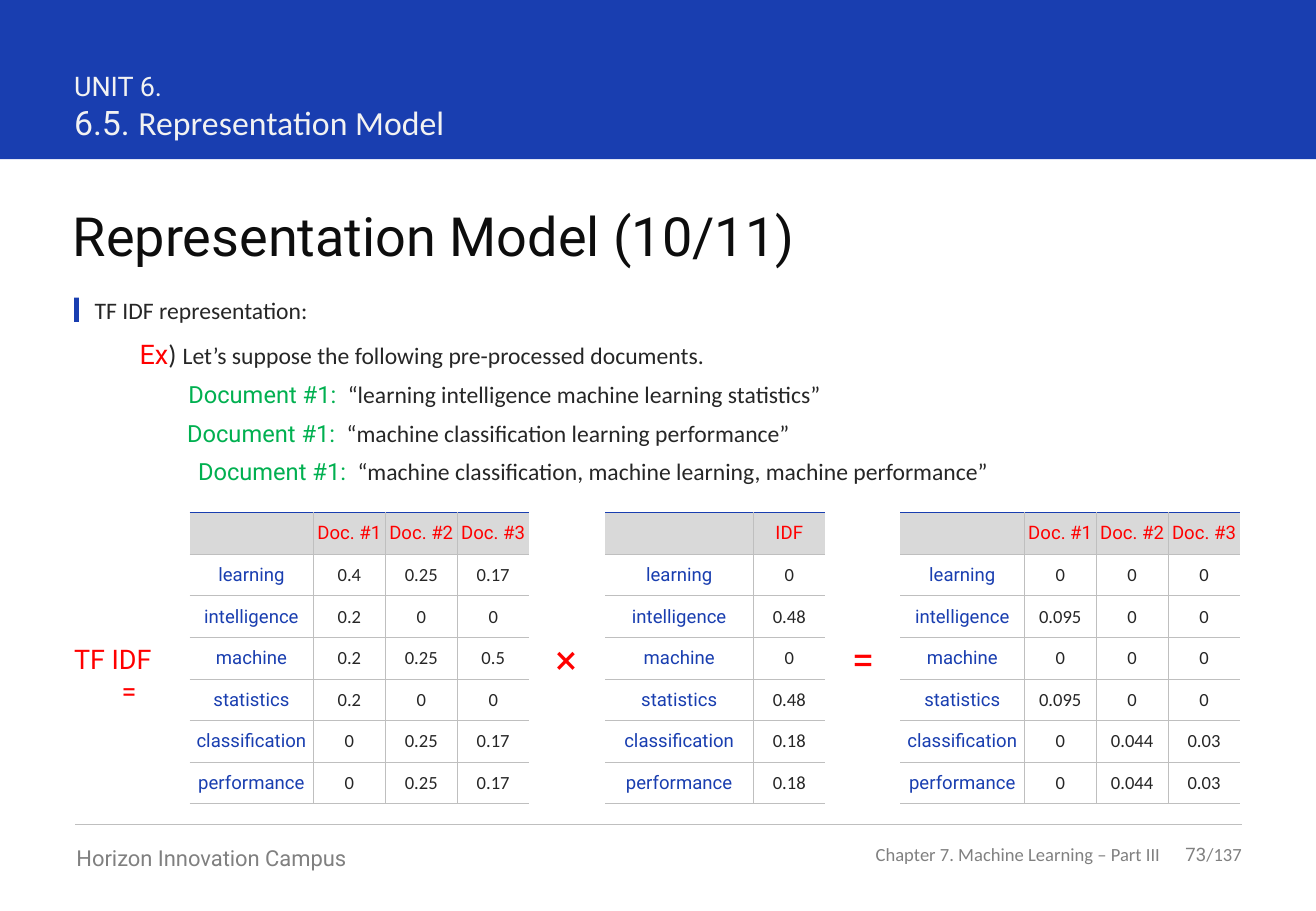
import pptx
import pptx.dml.color
import pptx.enum.shapes
import pptx.enum.text
import pptx.oxml
import pptx.oxml.ns
import pptx.util
from lxml import etree

CELL = pptx.util.Inches(0.1)
WIDE, HIGH = 108.3, 75
LEFT, RIGHT = 6.1, 102.2
HEX = {
    "blue": "193EB0", "red": "FF0000", "green": "00B050", "ink": "262626",
    "black": "0D0D0D", "pale": "F2F2F2", "gray": "808080", "rule": "BFBFBF",
    "head": "D9D9D9",
}
ALIGN = pptx.enum.text.PP_ALIGN
ANCHOR = pptx.enum.text.MSO_ANCHOR
SANS, BODY = "Roboto", "Calibri"
TERMS = ["learning", "intelligence", "machine", "statistics",
         "classification", "performance"]
DOCS = ["Doc. #1", "Doc. #2", "Doc. #3"]
TABLES = [
    (15.6, 10.2, DOCS, [
        ["0.4", "0.25", "0.17"], ["0.2", "0", "0"], ["0.2", "0.25", "0.5"],
        ["0.2", "0", "0"], ["0", "0.25", "0.17"], ["0", "0.25", "0.17"]]),
    (49.8, 12.2, ["IDF"],
     [["0"], ["0.48"], ["0"], ["0.48"], ["0.18"], ["0.18"]]),
    (74.1, 10.2, DOCS, [
        ["0", "0", "0"], ["0.095", "0", "0"], ["0", "0", "0"],
        ["0.095", "0", "0"], ["0", "0.044", "0.03"], ["0", "0.044", "0.03"]]),
]
QUOTES = [
    (4, "“learning intelligence machine learning statistics”"),
    (3.9, "“machine classification learning performance”"),
    (4.8, "“machine classification, machine learning, machine performance”"),
]


def grid(*spots):
    """Turn grid counts into lengths."""
    return [round(spot * CELL) for spot in spots]


def tint(name):
    """Look up a colour by name."""
    return pptx.dml.color.RGBColor.from_string(HEX[name])


def assign(item, values):
    """Set each named value on an item."""
    for key, value in values.items():
        setattr(item, key, value)


def write(para, runs, margin=0, hang=0, **form):
    """Fill a paragraph with (text, size, font, colour, spacing) runs."""
    props = para._p.get_or_add_pPr()
    for key, spot in (("marL", margin), ("indent", -hang)):
        props.set(key, str(grid(spot)[0]))
    assign(para, form)
    for words, size, face, shade, *extra in runs:
        run = para.add_run()
        run.text = words
        assign(run.font, {"size": pptx.util.Pt(size), "name": face})
        run.font.color.rgb = tint(shade)
        for gap in extra:
            run._r.get_or_add_rPr().set("spc", str(gap))


def label(slide, place, *paras, anchor=ANCHOR.TOP):
    """Add a text box of paragraphs, each a dict of write options."""
    frame = slide.shapes.add_textbox(*grid(*place)).text_frame
    assign(frame, {"word_wrap": True, "vertical_anchor": anchor,
                   "margin_left": 0, "margin_right": 0,
                   "margin_top": 0, "margin_bottom": 0})
    for index, para in enumerate(paras):
        write(frame.add_paragraph() if index else frame.paragraphs[0], **para)


def block(slide, *place):
    """Add a plain blue bar."""
    shape = slide.shapes.add_shape(
        pptx.enum.shapes.MSO_SHAPE.RECTANGLE, *grid(*place))
    shape.shadow.inherit = False
    shape.fill.solid()
    shape.fill.fore_color.rgb = tint("blue")
    shape.line.fill.background()


def rule(slide, *ends):
    """Add a thin gray line."""
    line = slide.shapes.add_connector(
        pptx.enum.shapes.MSO_CONNECTOR.STRAIGHT, *grid(*ends))
    line.line.color.rgb = tint("rule")
    line.line.width = pptx.util.Pt(0.5)
    etree.SubElement(line._element.spPr, pptx.oxml.ns.qn("a:effectLst"))


def edges(cell, sides):
    """Draw cell borders from (colour, points) by side, or none."""
    props = cell._tc.get_or_add_tcPr()
    for index, side in enumerate("LRTB"):
        shade, points = sides.get(side, (None, 0))
        fill = (f'<a:solidFill><a:srgbClr val="{HEX[shade]}"/></a:solidFill>'
                if shade else "<a:noFill/>")
        props.insert(index, pptx.oxml.parse_xml(
            f'<a:ln{side} {pptx.oxml.ns.nsdecls("a")} '
            f'w="{pptx.util.Pt(points)}">{fill}</a:ln{side}>'))


def matrix(slide, left, first, heads, values):
    """Add a table of terms and their weights."""
    rows = [["", *heads]] + [[term, *row] for term, row in zip(TERMS, values)]
    widths = [first] + [5.92] * len(heads)
    table = slide.shapes.add_table(
        len(rows), len(widths), *grid(left, 42.2, sum(widths), 24)).table
    assign(table, {"first_row": False, "horz_banding": False})
    for column, width in zip(table.columns, grid(*widths)):
        column.width = width
    for y, row in enumerate(rows):
        for x, words in enumerate(row):
            cell = table.cell(y, x)
            assign(cell, {"margin_left": 0, "margin_right": 0,
                          "margin_top": 0, "margin_bottom": 0,
                          "vertical_anchor": ANCHOR.MIDDLE})
            face = BODY if x and y else SANS
            shade = "red" if not y else "ink" if x else "blue"
            write(cell.text_frame.paragraphs[0],
                  [(words, 11, face, shade)] if words else [],
                  alignment=ALIGN.CENTER)
            if y:
                cell.fill.background()
            else:
                cell.fill.solid()
                cell.fill.fore_color.rgb = tint("head")
            thin = ("rule", 0.5)
            sides = {"T": thin if y else ("blue", 1), "B": thin}
            if x:
                sides["L"] = thin
            if x < len(row) - 1:
                sides["R"] = thin
            edges(cell, sides)


def header(slide):
    """Add the banner and the title."""
    block(slide, 0, 0, WIDE, 13.1)
    label(slide, (LEFT, 5.7, 99, 6.1),
          {"runs": [("UNIT 6.", 16, SANS, "pale")]},
          {"runs": [("6.5. ", 20, SANS, "pale"),
                    ("Representation Model", 20, BODY, "pale")]})
    label(slide, (6, 16.7, 96.2, 5.4), {"runs": [
        ("Representation Model (10/11)", 32, SANS, "black")]})


def footer(slide):
    """Add the footer rule and texts."""
    rule(slide, 6.2, 67.9, RIGHT, 67.9)
    label(slide, (6.3, 69.5, 31.6, 2.2), {"runs": [
        ("Horizon Innovation Campus", 13, SANS, "gray")]})
    label(slide, (70, 69.4, 25.5, 1.9), {"alignment": ALIGN.RIGHT, "runs": [
        ("Chapter 7. Machine Learning – Part III", 11, BODY, "gray")]},
        anchor=ANCHOR.MIDDLE)
    label(slide, (95.5, 69.4, 6.7, 1.9), {"alignment": ALIGN.RIGHT, "runs": [
        ("73", 11, SANS, "gray"), ("/137", 11, BODY, "gray")]},
        anchor=ANCHOR.MIDDLE)


def sample(slide):
    """Add the topic and the sample documents."""
    block(slide, LEFT, 24.5, 0.4, 2)
    label(slide, (7.8, 24.4, 94.4, 2.4), {"runs": [
        ("TF IDF representation:", 14, BODY, "ink")]})
    after = pptx.util.Pt(6)
    intro = {"space_after": after, "runs": [
        ("Ex", 16, SANS, "red"), (") ", 16, BODY, "ink"),
        ("Let’s suppose the following pre-processed documents.",
         14, BODY, "ink")]}
    lines = [{"margin": margin, "space_after": after, "runs": [
        ("Document #1:", 14, SANS, "green"), (" ", 14, SANS, "green", 320),
        (quote, 14, BODY, "ink")]} for margin, quote in QUOTES]
    label(slide, (11.5, 27.8, 90.7, 12.3), intro, *lines)


def main():
    """Build and save the slide."""
    deck = pptx.Presentation()
    deck.slide_width, deck.slide_height = grid(WIDE, HIGH)
    slide = deck.slides.add_slide(deck.slide_layouts[6])
    header(slide)
    footer(slide)
    sample(slide)
    label(slide, (LEFT, 52.9, 7.2, 5.4), {"margin": 3.9, "hang": 3.9, "runs": [
        ("TF IDF =", 16, SANS, "red")]})
    for table in TABLES:
        matrix(slide, *table)
    for left, sign in ((45.7, "×"), (70.1, "=")):
        label(slide, (left, 52.2, 2, 4), {"runs": [(sign, 24, SANS, "red")]})
    deck.save("out.pptx")


if __name__ == "__main__":
    main()
